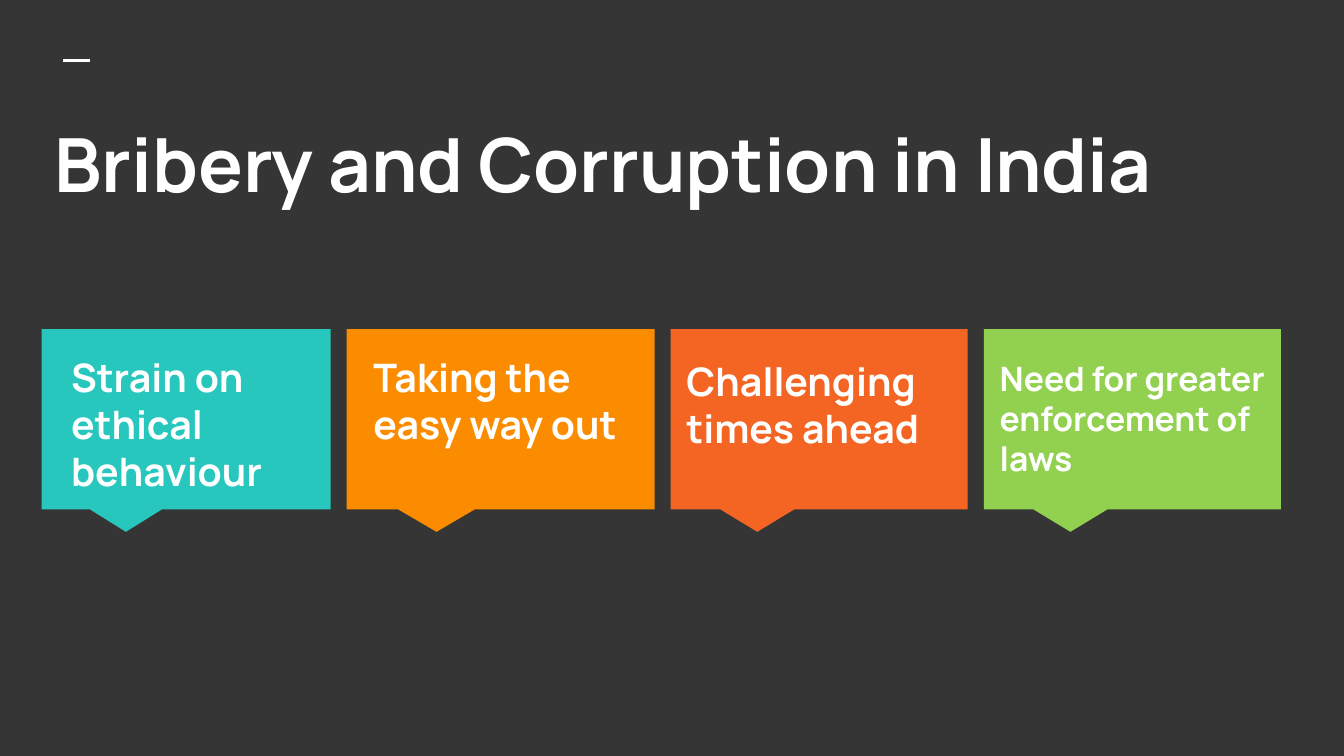
"""Build a slide with four callout cards on bribery and corruption in India."""
from lxml.etree import SubElement
from pptx import Presentation
from pptx.dml.color import RGBColor
from pptx.enum.shapes import MSO_CONNECTOR, MSO_SHAPE
from pptx.enum.text import MSO_ANCHOR
from pptx.oxml.ns import qn
from pptx.util import Inches, Pt

BACKGROUND = RGBColor(0x35, 0x35, 0x35)
WHITE = RGBColor(0xFF, 0xFF, 0xFF)
TEAL = RGBColor(0x27, 0xC7, 0xBD)
AMBER = RGBColor(0xFB, 0x8C, 0x00)
ORANGE = RGBColor(0xF4, 0x65, 0x24)
GREEN = RGBColor(0x92, 0xD0, 0x50)

FONT = "Manrope"
TITLE = "Bribery and Corruption in India"
CARDS = [
    {"text": "Strain on ethical behaviour", "color": TEAL, "width": 2.15,
     "size": 21, "offset": (0.12, 0.08), "area": (2.05, 1.19)},
    {"text": "Taking the easy way out", "color": AMBER, "width": 2.29,
     "size": 21, "offset": (0.1, 0.08), "area": (2.19, 1.21)},
    {"text": "Challenging times ahead", "color": ORANGE, "width": 2.21,
     "size": 21, "offset": (0.02, 0.11), "area": (2.16, 0.88)},
    {"text": "Need for greater enforcement of laws", "color": GREEN, "width": 2.21,
     "size": 18, "offset": (0.02, 0.11), "area": (2.4, 0.88)},
]
LEFT, CARD_TOP, CARD_HEIGHT, GAP = 0.31, 2.45, 1.34, 0.12


def add_text(page, text, left, top, width, height, size, space_after=0):
    box = page.shapes.add_textbox(Inches(left), Inches(top), Inches(width), Inches(height))
    frame = box.text_frame
    frame.word_wrap = True
    frame.vertical_anchor = MSO_ANCHOR.TOP
    frame.margin_left = frame.margin_right = Inches(0.1)
    frame.margin_top = frame.margin_bottom = Inches(0.1)
    para = frame.paragraphs[0]
    para.space_after = Pt(space_after)
    span = para.add_run()
    span.text = text
    span.font.name = FONT
    span.font.size = Pt(size)
    span.font.bold = True
    span.font.color.rgb = WHITE


def add_card(page, card, left):
    callout = page.shapes.add_shape(
        MSO_SHAPE.RECTANGULAR_CALLOUT, Inches(left), Inches(CARD_TOP),
        Inches(card["width"]), Inches(CARD_HEIGHT))
    callout.adjustments[0] = -5 / 24
    callout.adjustments[1] = 5 / 8
    callout.shadow.inherit = False
    callout.fill.solid()
    callout.fill.fore_color.rgb = card["color"]
    callout.line.fill.background()
    across, down = card["offset"]
    add_text(page, card["text"], left + across, CARD_TOP + down,
             *card["area"], card["size"], space_after=12)


def add_accent(page):
    accent = page.shapes.add_connector(
        MSO_CONNECTOR.STRAIGHT, Inches(0.47), Inches(0.45), Inches(0.67), Inches(0.45))
    accent.line.color.rgb = WHITE
    accent.line.width = Pt(1.5)
    SubElement(accent._element.spPr, qn("a:effectLst"))


def main():
    deck = Presentation()
    deck.slide_width = Inches(10)
    deck.slide_height = deck.slide_width * 9 // 16
    page = deck.slides.add_slide(deck.slide_layouts[6])
    page.background.fill.solid()
    page.background.fill.fore_color.rgb = BACKGROUND
    add_accent(page)
    add_text(page, TITLE, LEFT, 0.78, 9.43, 1.12, 40)
    left = LEFT
    for card in CARDS:
        add_card(page, card, left)
        left += card["width"] + GAP
    deck.save("out.pptx")


if __name__ == "__main__":
    main()
